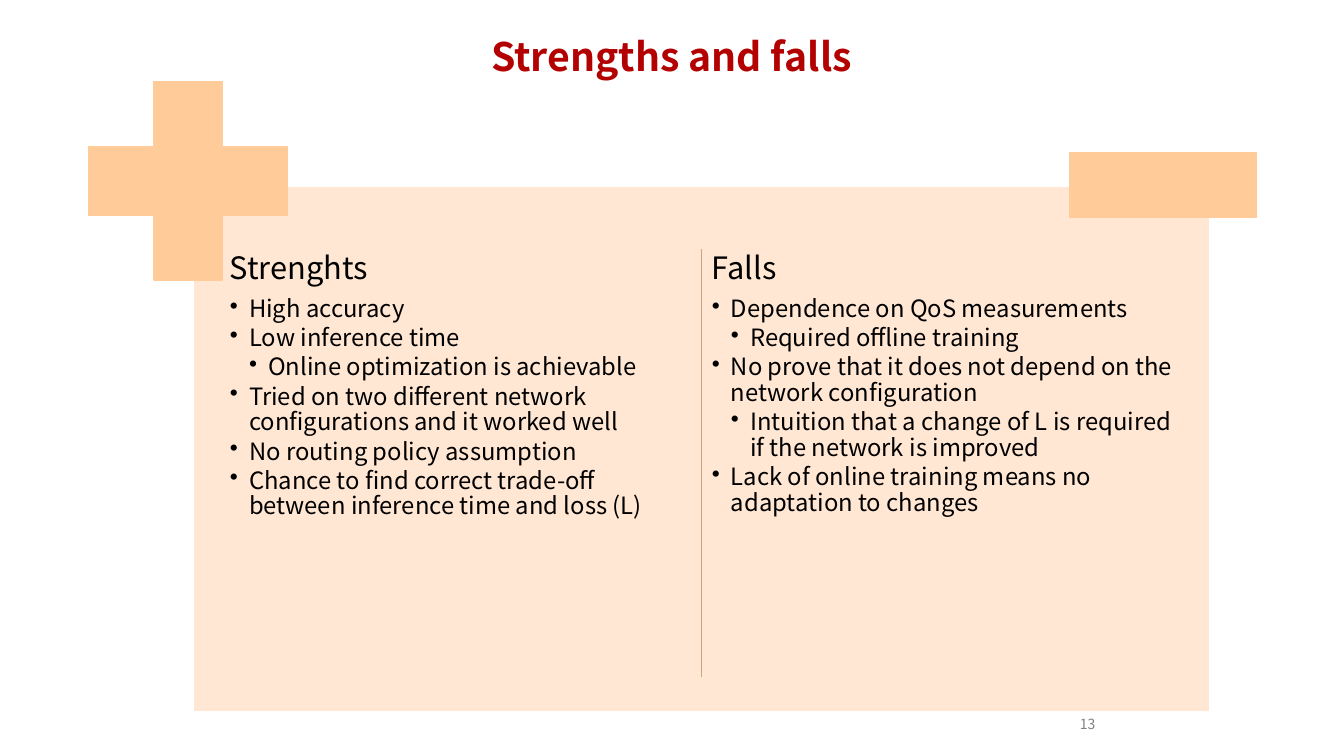
"""Build the slide that compares strengths and falls in two columns."""
from dataclasses import dataclass

from lxml import etree
from pptx import Presentation
from pptx.dml.color import RGBColor
from pptx.enum import shapes, text
from pptx.oxml import ns
from pptx.util import Inches, Pt

FONT = "Noto Sans CJK SC"
RED = RGBColor(0xB3, 0x00, 0x00)
BLACK = RGBColor(0x00, 0x00, 0x00)
GRAY = RGBColor(0x80, 0x80, 0x80)
WHITE = RGBColor(0xFF, 0xFF, 0xFF)
PEACH = RGBColor(0xFF, 0xE7, 0xD4)
ORANGE = RGBColor(0xFF, 0xCC, 0x99)
BROWN = RGBColor(0xCC, 0xA3, 0x7B)
INDENT = 0.19


@dataclass
class Area:
    left: float
    top: float
    width: float
    height: float

    def lengths(self) -> list:
        return [Inches(side) for side in (self.left, self.top, self.width, self.height)]


@dataclass
class Block:
    kind: shapes.MSO_SHAPE
    area: Area
    fill: RGBColor
    line: RGBColor


@dataclass
class Column:
    left: float
    heading: str
    points: list[tuple[int, str]]


PANEL = Block(shapes.MSO_SHAPE.RECTANGLE, Area(1.92, 1.85, 10.08, 5.21), PEACH, WHITE)
PLUS = Block(shapes.MSO_SHAPE.CROSS, Area(0.88, 0.81, 1.97, 1.97), ORANGE, ORANGE)
MINUS = Block(shapes.MSO_SHAPE.RECTANGLE, Area(10.61, 1.52, 1.85, 0.64), ORANGE, ORANGE)
COLUMNS = [
    Column(2.23, "Strenghts", [
        (1, "High accuracy"),
        (1, "Low inference time"),
        (2, "Online optimization is achievable"),
        (1, "Tried on two different network configurations and it worked well"),
        (1, "No routing policy assumption"),
        (1, "Chance to find correct trade-off between inference time and loss (L)"),
    ]),
    Column(7.01, "Falls", [
        (1, "Dependence on QoS measurements"),
        (2, "Required offline training"),
        (1, "No prove that it does not depend on the network configuration"),
        (2, "Intuition that a change of L is required if the network is improved"),
        (1, "Lack of online training means no adaptation to changes"),
    ]),
]


def set_frame(frame, margin: float) -> None:
    frame.word_wrap = True
    frame.auto_size = text.MSO_AUTO_SIZE.NONE
    frame.margin_left = frame.margin_right = Inches(margin)
    frame.margin_top = frame.margin_bottom = Inches(margin)


def style(para, size: float, color: RGBColor, bold: bool = False) -> None:
    para.line_spacing = 0.9
    for span in para.runs:
        span.font.name = FONT
        span.font.size = Pt(size)
        span.font.bold = bold
        span.font.color.rgb = color


def add_block(page, block: Block):
    shape = page.shapes.add_shape(block.kind, *block.area.lengths())
    shape.shadow.inherit = False
    shape.fill.solid()
    shape.fill.fore_color.rgb = block.fill
    shape.line.color.rgb = block.line
    shape.line.width = Pt(1)
    return shape


def set_bullet(para, level: int) -> None:
    para.level = level
    properties = para._p.get_or_add_pPr()
    properties.set("marL", str(Inches(INDENT * level)))
    properties.set("indent", str(-Inches(INDENT)))
    etree.SubElement(properties, ns.qn("a:buChar"), char="•")


def add_column(page, column: Column) -> None:
    box = page.shapes.add_textbox(*Area(column.left, 2.46, 4.68, 4.45).lengths())
    frame = box.text_frame
    set_frame(frame, 0.05)
    frame.text = column.heading
    style(frame.paragraphs[0], 22, BLACK)
    frame.paragraphs[0].space_after = Pt(7.7)
    for level, words in column.points:
        para = frame.add_paragraph()
        para.text = words
        set_bullet(para, level)
        style(para, 17, BLACK)
        para.space_after = Pt(2.5)


def add_title(page, words: str) -> None:
    title = page.shapes.title
    title.left, title.top, title.width, title.height = Area(0.56, 0.29, 12.2, 0.59).lengths()
    frame = title.text_frame
    set_frame(frame, 0)
    frame.vertical_anchor = text.MSO_ANCHOR.MIDDLE
    frame.text = words
    frame.paragraphs[0].alignment = text.PP_ALIGN.CENTER
    style(frame.paragraphs[0], 28, RED, bold=True)


def add_page_number(page, number: str) -> None:
    box = page.shapes.add_textbox(*Area(10.71, 7.12, 0.36, 0.2).lengths())
    set_frame(box.text_frame, 0)
    box.text_frame.text = number
    style(box.text_frame.paragraphs[0], 10, GRAY)


def add_divider(page, across: float, top: float, bottom: float) -> None:
    divider = page.shapes.add_connector(
        shapes.MSO_CONNECTOR.STRAIGHT,
        Inches(across), Inches(top), Inches(across), Inches(bottom))
    divider.line.color.rgb = BROWN
    divider.line.width = Pt(1)
    etree.SubElement(divider._element.spPr, ns.qn("a:effectLst"))


def main() -> None:
    deck = Presentation()
    deck.slide_width, deck.slide_height = Inches(13.33), Inches(7.5)
    page = deck.slides.add_slide(deck.slide_layouts[5])
    add_page_number(page, "13")
    add_title(page, "Strengths and falls")
    add_block(page, PANEL)
    for column in COLUMNS:
        add_column(page, column)
    plus = add_block(page, PLUS)
    plus.adjustments[0] = 0.328
    add_block(page, MINUS)
    add_divider(page, 6.96, 2.47, 6.72)
    deck.save("out.pptx")


if __name__ == "__main__":
    main()
